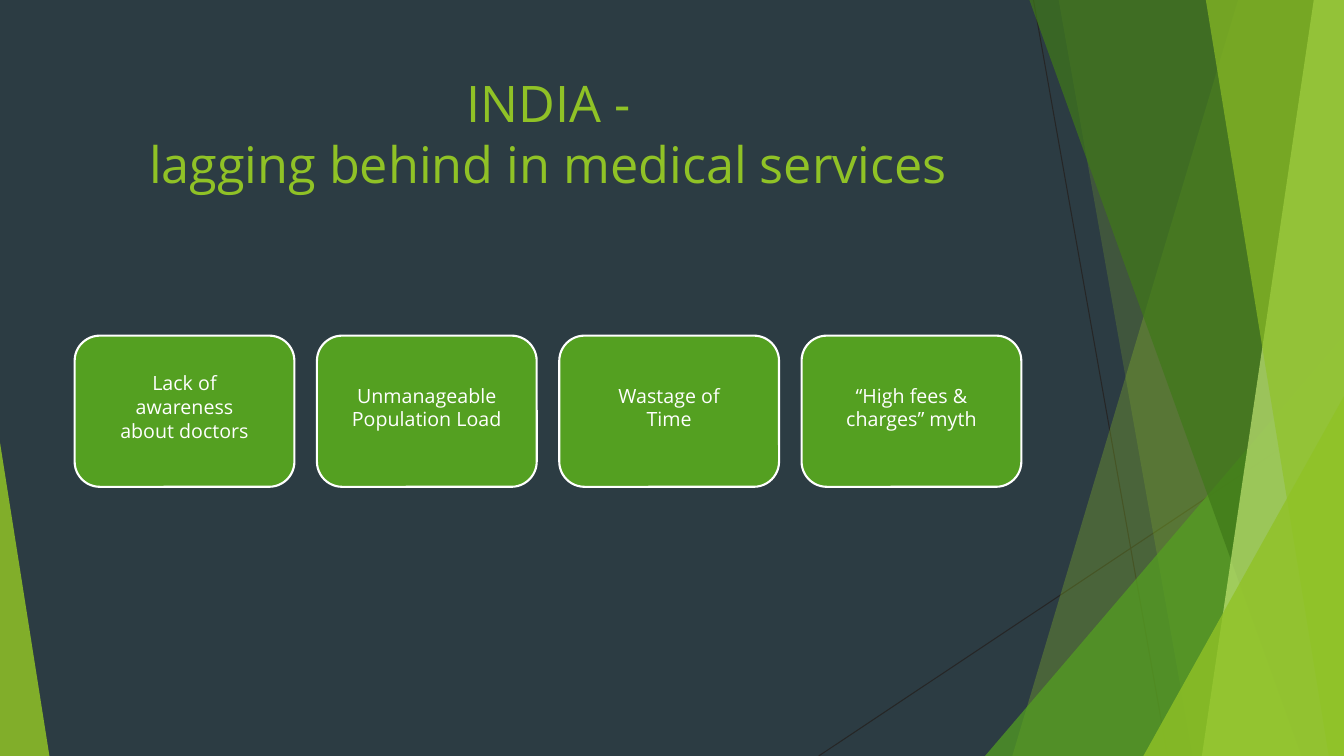
from dataclasses import dataclass
from lxml.etree import SubElement
from pptx import Presentation
from pptx.dml.color import RGBColor
from pptx.enum.shapes import MSO_CONNECTOR, MSO_SHAPE
from pptx.enum.text import MSO_ANCHOR, MSO_AUTO_SIZE, PP_ALIGN
from pptx.oxml.ns import qn
from pptx.util import Inches, Pt


@dataclass(frozen=True)
class Theme:
    back: str = "2C3C43"
    lime: str = "90C226"
    green: str = "54A021"
    dark: str = "3F7819"
    pale: str = "C0E474"
    thin: str = "262626"
    white: str = "FFFFFF"
    font: str = "Open Sans"
    head: int = 36
    body: int = 14


theme = Theme()
wide, high = 13.33, 7.5

title = "INDIA -\vlagging behind in medical services"
cards = [
    ("Lack of awareness about doctors", 1.69, 0.81),
    ("Unmanageable\nPopulation Load", 1.7, 0.57),
    ("Wastage of Time", 1.53, 0.57),
    ("“High fees & charges” myth", 1.69, 0.57),
]
rays = [((10.25, 0), (11.58, high)), ((wide, 4.03), (8.12, high))]
facets = [
    ("band", (12.28, 10.04), theme.lime, 30),
    ("band", (10.5, 11.83), theme.lime, 20),
    ("peak", (9.77, 3.33, 3.56, 1), theme.green, 72),
    ("band", (10.21, 12.91), theme.dark, 70),
    ("band", (13.03, 11.92), theme.pale, 70),
    ("band", (11.96, 13.18), theme.lime, 65),
    ("peak", (11.34, 3.93, 1.99, 1), theme.lime, 80),
    ("peak", (0, 4.39, 0.49, 0), theme.lime, 85),
]
left, last, top = 0.74, 7.95, 3.33
card_w, card_h = 2.18, 1.5
mid = 4.04


def paint(shape, color, alpha=100):
    shape.shadow.inherit = False
    shape.fill.solid()
    shape.fill.fore_color.rgb = RGBColor.from_string(color)
    shape.line.fill.background()
    if alpha < 100:
        tint = shape.fill._xPr.find(qn("a:solidFill"))[0]
        SubElement(tint, qn("a:alpha")).set("val", str(alpha * 1000))


def write(shape, text, size, color):
    frame = shape.text_frame
    frame.text = text
    frame.word_wrap = True
    frame.auto_size = MSO_AUTO_SIZE.NONE
    frame.vertical_anchor = MSO_ANCHOR.TOP
    for para in frame.paragraphs:
        para.alignment = PP_ALIGN.CENTER
        for run in para.runs:
            run.font.name = theme.font
            run.font.size = Pt(size)
            run.font.color.rgb = RGBColor.from_string(color)


def add_ray(start, end):
    ray = shapes.add_connector(
        MSO_CONNECTOR.STRAIGHT, *map(Inches, start + end))
    ray.line.width = Pt(0.75)
    ray.line.color.rgb = RGBColor.from_string(theme.thin)
    SubElement(ray._element.spPr, qn("a:effectLst"))


def add_band(upper, lower):
    pen = shapes.build_freeform(Inches(upper), 0)
    ends = [(wide, 0), (wide, high), (lower, high)]
    pen.add_line_segments([(Inches(x), Inches(y)) for x, y in ends])
    return pen.convert_to_shape()


def add_peak(x, y, width, tip):
    peak = shapes.add_shape(
        MSO_SHAPE.ISOSCELES_TRIANGLE,
        Inches(x), Inches(y), Inches(width), Inches(high - y))
    peak.adjustments[0] = tip
    return peak


deck = Presentation()
deck.slide_width, deck.slide_height = Inches(wide), Inches(high)
slide = deck.slides.add_slide(deck.slide_layouts[5])
shapes = slide.shapes
slide.background.fill.solid()
slide.background.fill.fore_color.rgb = RGBColor.from_string(theme.back)

for start, end in rays:
    add_ray(start, end)
makers = {"band": add_band, "peak": add_peak}
for kind, place, color, alpha in facets:
    paint(makers[kind](*place), color, alpha)

head = shapes.title
head.left, head.top = Inches(left), Inches(0.67)
head.width, head.height = Inches(9.4), Inches(1.44)
write(head, title, theme.head, theme.lime)

step = (last - left) / (len(cards) - 1)
for i, (text, width, height) in enumerate(cards):
    x = left + i * step
    card = shapes.add_shape(
        MSO_SHAPE.ROUNDED_RECTANGLE,
        Inches(x), Inches(top), Inches(card_w), Inches(card_h))
    paint(card, theme.green)
    card.line.color.rgb = RGBColor.from_string(theme.white)
    card.line.width = Pt(1.5)
    label = shapes.add_textbox(
        Inches(x + (card_w - width) / 2), Inches(mid - height / 2),
        Inches(width), Inches(height))
    write(label, text, theme.body, theme.white)

deck.save("out.pptx")
